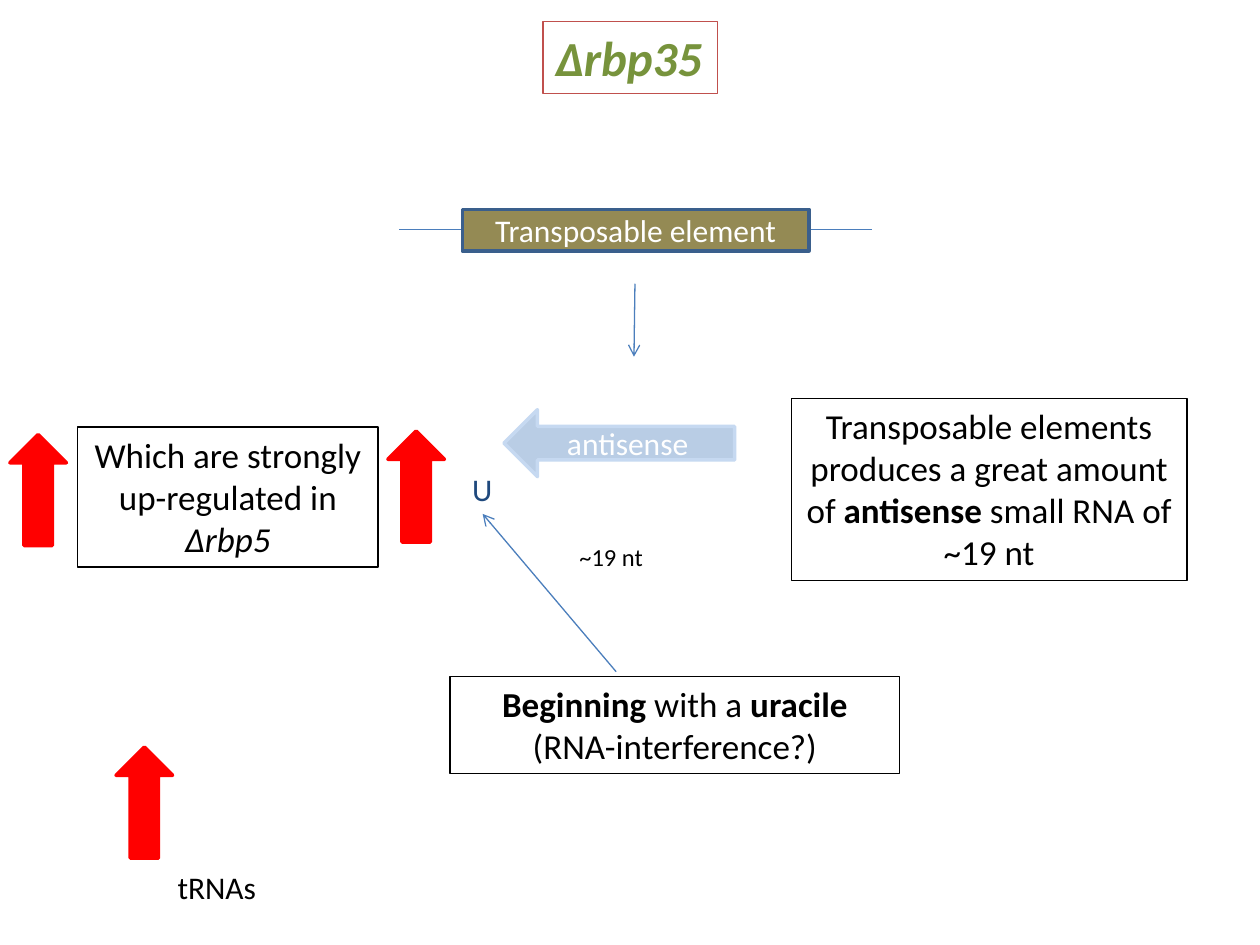
from lxml import etree
from pptx import Presentation
from pptx.dml.color import RGBColor
from pptx.enum.shapes import MSO_CONNECTOR, MSO_SHAPE
from pptx.enum.text import MSO_ANCHOR, MSO_AUTO_SIZE, PP_ALIGN
from pptx.oxml.ns import qn
from pptx.util import Cm, Pt

STRAIGHT = MSO_CONNECTOR.STRAIGHT
RECT, UP, LEFT = MSO_SHAPE.RECTANGLE, MSO_SHAPE.UP_ARROW, MSO_SHAPE.LEFT_ARROW
MIDDLE = MSO_ANCHOR.MIDDLE
GROW = MSO_AUTO_SIZE.SHAPE_TO_FIT_TEXT
CENTER, START = PP_ALIGN.CENTER, PP_ALIGN.LEFT

BLACK = RGBColor(0x00, 0x00, 0x00)
WHITE = RGBColor(0xFF, 0xFF, 0xFF)
RED = RGBColor(0xFF, 0x00, 0x00)
BRICK = RGBColor(0xC0, 0x50, 0x4D)
GREEN = RGBColor(0x77, 0x93, 0x3C)
NAVY = RGBColor(0x1F, 0x49, 0x7D)
BLUE = RGBColor(0x4B, 0x7E, 0xBC)
EDGE_BLUE = RGBColor(0x3A, 0x5F, 0x8C)
TAN = RGBColor(0x94, 0x8A, 0x54)
PALE_BLUE = RGBColor(0xB9, 0xCD, 0xE5)
PALE_EDGE = RGBColor(0xC6, 0xD9, 0xF1)

FONT = "Calibri"

# Content: start, end, arrowhead (cm)
LINES = [
    ((8.05, 4.62), (17.58, 4.62), False),
    ((12.8, 5.72), (12.78, 7.19), True),
    ((12.42, 13.54), (9.73, 10.36), True),
]

# Shape, place, fill, edge, label
BLOCKS = [
    (RECT, (9.32, 4.22, 6.99, 0.84), TAN, EDGE_BLUE, "Transposable element"),
    (LEFT, (10.16, 8.26, 4.65, 1.35), PALE_BLUE, PALE_EDGE, "antisense"),
]

# Red up-regulation arrows
UP_SIZE = (1.14, 2.24)
UP_PLACES = [(0.2, 8.76), (7.82, 8.69), (2.34, 15.06)]

# Unwrapped labels: text, place, size, colour, style, edge
LABELS = [
    ("Δrbp35", (10.95, 0.43, 3.51, 1.45), 28, GREEN, "bi", BRICK),
    ("~19 nt", (11.43, 10.8, 1.8, 0.86), 14, BLACK, "", None),
    ("U", (9.27, 9.35, 0.91, 1.02), 18, NAVY, "", None),
    ("tRNAs", (3.33, 17.37, 2.11, 1.02), 18, BLACK, "", None),
]

# Framed notes: place, paragraphs of (text, style) runs
NOTES = [
    ((1.57, 8.61, 6.05, 2.82),
     [[("Which are strongly up-regulated in ", ""), ("Δrbp5", "i")]]),
    ((9.07, 13.64, 9.07, 1.96),
     [[("Beginning", "b"), (" with a ", ""), ("uracile", "b")],
      [("(RNA-interference?)", "")]]),
    ((15.95, 8.03, 7.98, 3.68),
     [[("Transposable elements produces a great amount of ", ""),
       ("antisense", "b"), (" small RNA of ~19 nt", "")]]),
]


def lengths(values):
    return [Cm(value) for value in values]


def set_line(item, color, width):
    item.line.color.rgb = color
    item.line.width = Pt(width)


def write(frame, paragraphs, size, color, align):
    for index, runs in enumerate(paragraphs):
        para = frame.add_paragraph() if index else frame.paragraphs[0]
        para.alignment = align
        for text, style in runs:
            span = para.add_run()
            span.text = text
            span.font.name = FONT
            span.font.size = Pt(size)
            span.font.color.rgb = color
            span.font.bold = "b" in style
            span.font.italic = "i" in style


def add_line(page, start, end, arrow):
    line = page.shapes.add_connector(STRAIGHT, *lengths(start + end))
    set_line(line, BLUE, 0.75)
    if arrow:
        etree.SubElement(line.line._get_or_add_ln(), qn("a:tailEnd"), type="arrow")
    etree.SubElement(line._element.spPr, qn("a:effectLst"))


def add_block(page, kind, place, fill, edge, label=None):
    block = page.shapes.add_shape(kind, *lengths(place))
    block.shadow.inherit = False
    block.fill.solid()
    block.fill.fore_color.rgb = fill
    set_line(block, edge, 2)
    if label:
        block.text_frame.vertical_anchor = MIDDLE
        write(block.text_frame, [[(label, "")]], 18, WHITE, CENTER)


def add_text(page, place, paragraphs, size, color, align, wrap, edge):
    box = page.shapes.add_textbox(*lengths(place))
    box.text_frame.word_wrap = wrap
    box.text_frame.auto_size = GROW
    if edge is not None:
        set_line(box, edge, 0.75)
    write(box.text_frame, paragraphs, size, color, align)


def main():
    deck = Presentation()
    deck.slide_width, deck.slide_height = Cm(25.4), Cm(19.05)
    page = deck.slides.add_slide(deck.slide_layouts[6])

    # Lines go behind the blocks
    for line in LINES:
        add_line(page, *line)
    for block in BLOCKS:
        add_block(page, *block)
    for place in UP_PLACES:
        add_block(page, UP, place + UP_SIZE, RED, RED)

    # Labels and framed notes
    for text, place, size, color, style, edge in LABELS:
        add_text(page, place, [[(text, style)]], size, color, START, False, edge)
    for place, paragraphs in NOTES:
        add_text(page, place, paragraphs, 20, BLACK, CENTER, True, BLACK)

    deck.save("out.pptx")


if __name__ == "__main__":
    main()
